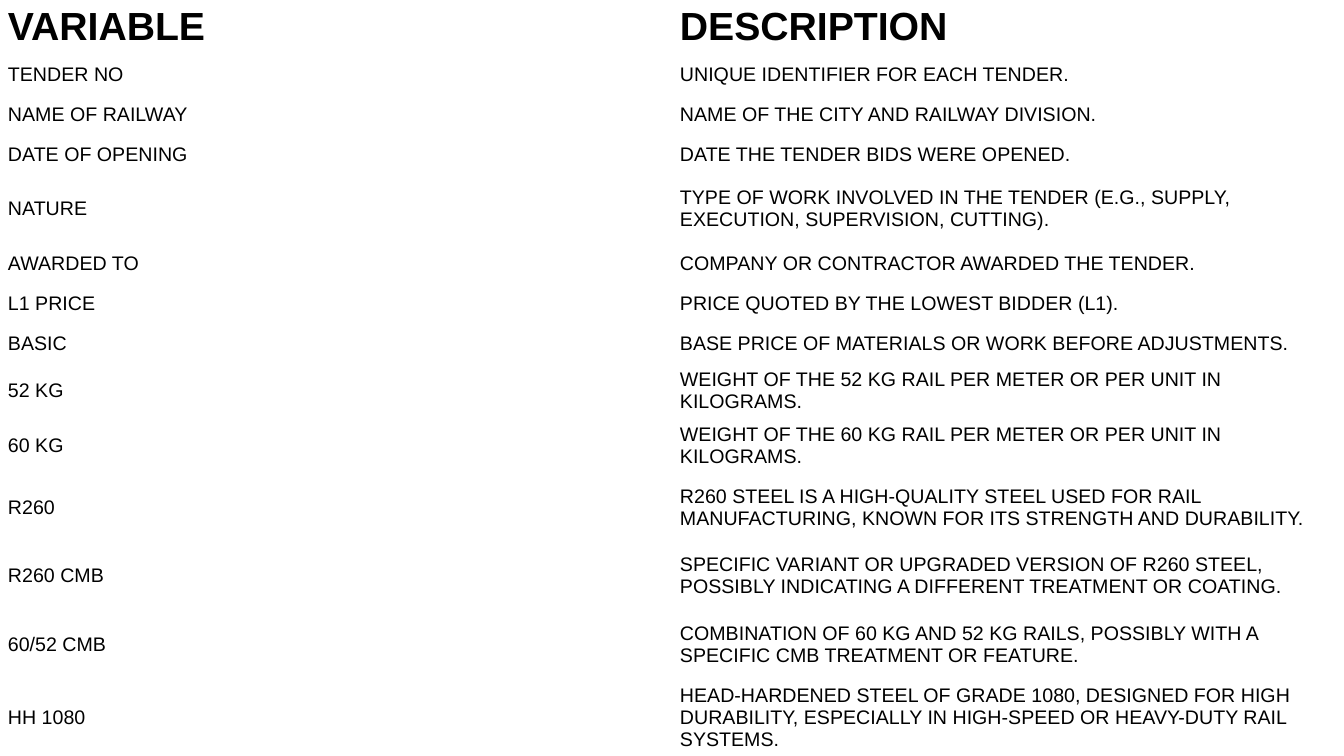
from pptx import Presentation
from pptx.dml.color import RGBColor
from pptx.enum.text import MSO_ANCHOR, PP_ALIGN
from pptx.util import Cm, Pt

BLACK = RGBColor(0x00, 0x00, 0x00)
FONT = "Arial"

# Row heights in cm
HEADER, SINGLE, DOUBLE, SPACED, TRIPLE = 1.37, 1.01, 1.38, 1.73, 1.96

variables = [
    ("VARIABLE", "DESCRIPTION", HEADER),
    ("TENDER NO", "UNIQUE IDENTIFIER FOR EACH TENDER.", SINGLE),
    ("NAME OF RAILWAY", "NAME OF THE CITY AND RAILWAY DIVISION.", SINGLE),
    ("DATE OF OPENING", "DATE THE TENDER BIDS WERE OPENED.", SINGLE),
    ("NATURE", "TYPE OF WORK INVOLVED IN THE TENDER (E.G., SUPPLY, "
     "EXECUTION, SUPERVISION, CUTTING).", SPACED),
    ("AWARDED TO", "COMPANY OR CONTRACTOR AWARDED THE TENDER.", SINGLE),
    ("L1 PRICE", "PRICE QUOTED BY THE LOWEST BIDDER (L1).", SINGLE),
    ("BASIC", "BASE PRICE OF MATERIALS OR WORK BEFORE ADJUSTMENTS.", SINGLE),
    ("52 KG", "WEIGHT OF THE 52 KG RAIL PER METER OR PER UNIT IN KILOGRAMS.", DOUBLE),
    ("60 KG", "WEIGHT OF THE 60 KG RAIL PER METER OR PER UNIT IN KILOGRAMS.", DOUBLE),
    ("R260", "R260 STEEL IS A HIGH-QUALITY STEEL USED FOR RAIL "
     "MANUFACTURING, KNOWN FOR ITS STRENGTH AND DURABILITY.", SPACED),
    ("R260 CMB", "SPECIFIC VARIANT OR UPGRADED VERSION OF R260 STEEL, "
     "POSSIBLY INDICATING A DIFFERENT TREATMENT OR COATING.", SPACED),
    ("60/52 CMB", "COMBINATION OF 60 KG AND 52 KG RAILS, POSSIBLY WITH A "
     "SPECIFIC CMB TREATMENT OR FEATURE.", SPACED),
    ("HH 1080", "HEAD-HARDENED STEEL OF GRADE 1080, DESIGNED FOR HIGH "
     "DURABILITY, ESPECIALLY IN HIGH-SPEED OR HEAVY-DUTY RAIL SYSTEMS.", TRIPLE),
]

cell_format = {
    "vertical_anchor": MSO_ANCHOR.MIDDLE,
    "margin_left": Cm(0.2),
    "margin_right": Cm(0.2),
    "margin_top": Cm(0.1),
    "margin_bottom": Cm(0.1),
}
header_font = {"name": FONT, "size": Pt(28), "bold": True}
body_font = {"name": FONT, "size": Pt(14), "bold": False}

# Slide without a title
prs = Presentation()
prs.slide_width, prs.slide_height = Cm(33.87), Cm(19.05)
slide = prs.slides.add_slide(prs.slide_layouts[6])

# Data dictionary across the whole slide
total_height = sum(height for _, _, height in variables)
dictionary = slide.shapes.add_table(
    len(variables), 2, 0, 0, prs.slide_width, Cm(total_height)).table
dictionary.horz_banding = False

for row, (variable, description, height) in enumerate(variables):
    dictionary.rows[row].height = Cm(height)
    for column, wording in enumerate((variable, description)):
        cell = dictionary.cell(row, column)
        cell.fill.background()
        for attribute, value in cell_format.items():
            setattr(cell, attribute, value)
        paragraph = cell.text_frame.paragraphs[0]
        paragraph.alignment = PP_ALIGN.LEFT
        run = paragraph.add_run()
        run.text = wording
        run.font.color.rgb = BLACK
        for attribute, value in (body_font if row else header_font).items():
            setattr(run.font, attribute, value)

prs.save("out.pptx")
